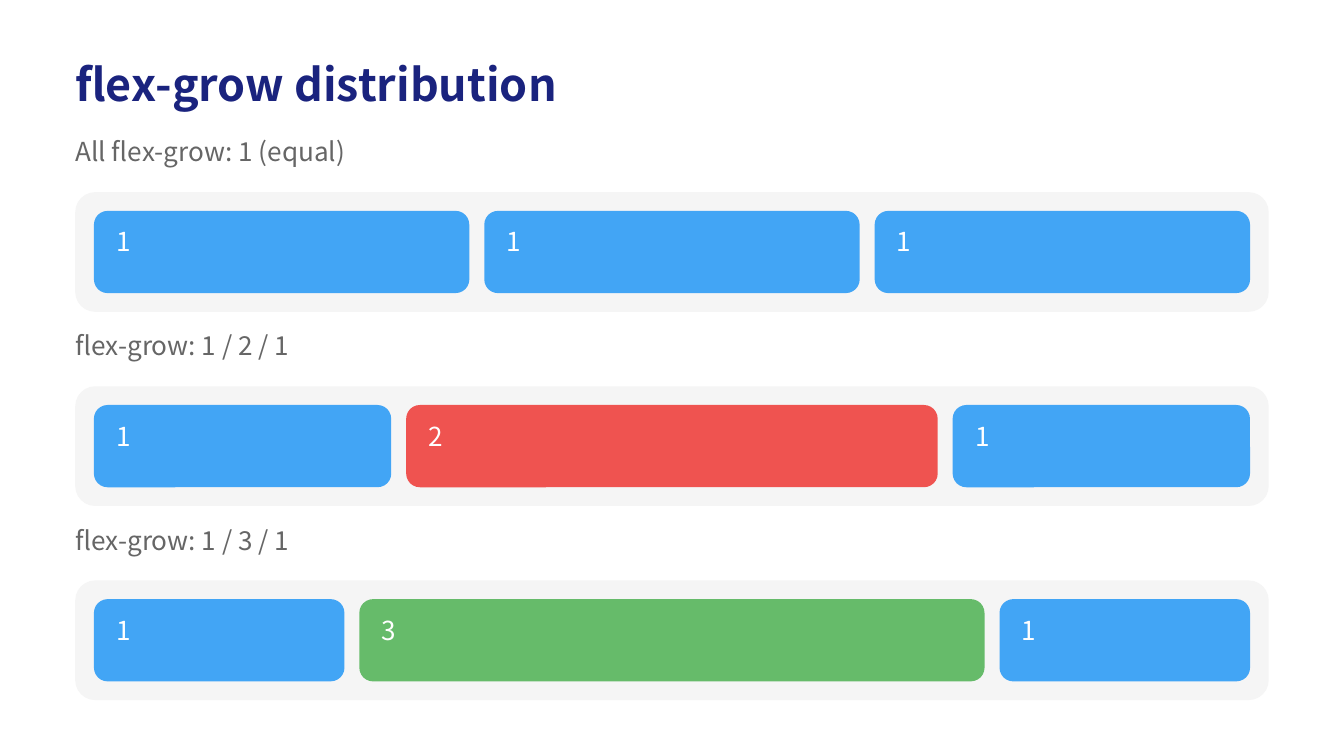
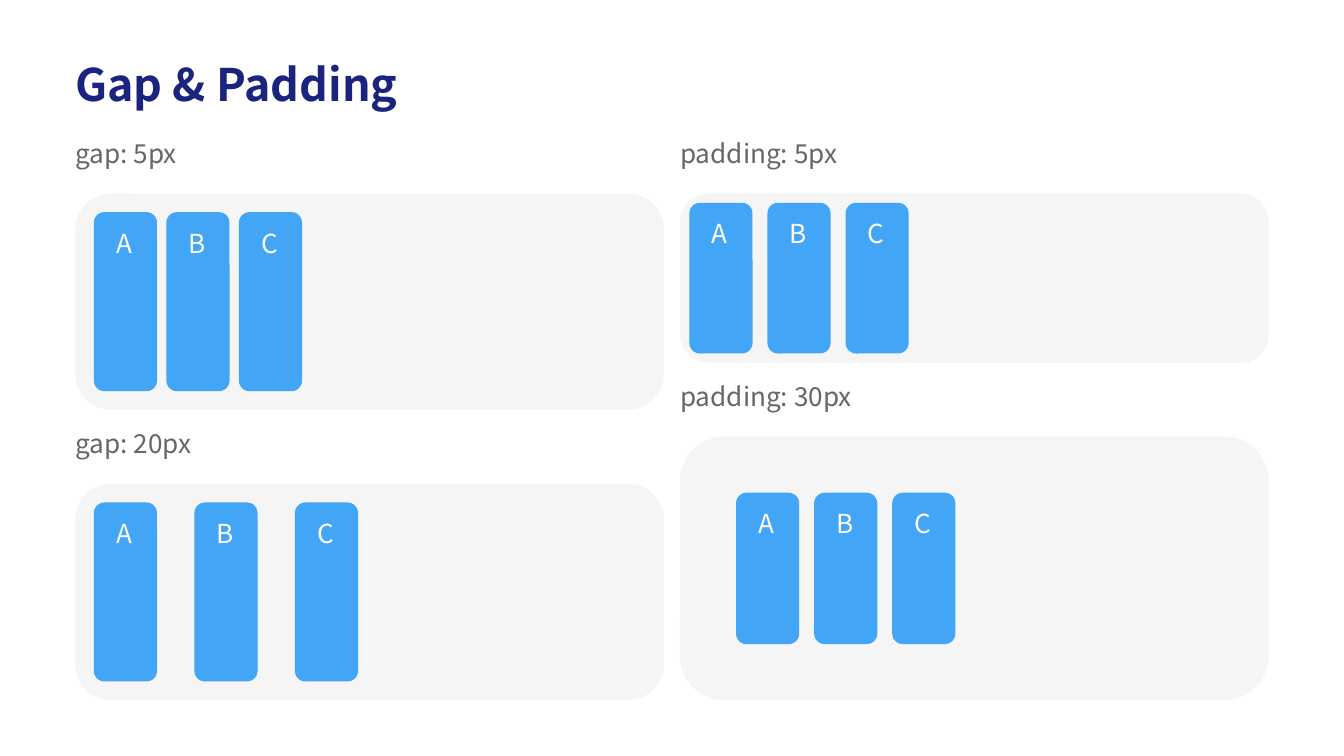
from dataclasses import dataclass

from pptx import Presentation
from pptx.dml.color import RGBColor
from pptx.enum.shapes import MSO_SHAPE
from pptx.util import Inches, Pt

ROUNDED = MSO_SHAPE.ROUNDED_RECTANGLE

# Layout, in inches
PX = 1 / 72                 # one CSS pixel
PAGE_WIDTH = 10
MARGIN = 0.56
CONTENT_WIDTH = PAGE_WIDTH - 2 * MARGIN
LABEL_RISE = 0.42           # label top above its tray
LABEL_HEIGHT = 0.28
TILE_WIDTH = 0.47           # a tile that does not grow
TILE_INSET_X, TILE_INSET_Y = 12 * PX, 8 * PX


@dataclass(frozen=True)
class Theme:
    font: str = "Noto Sans CJK SC"
    title_size: int = 24
    body_size: int = 14
    background: str = "FFFFFF"
    title: str = "1A237E"
    label: str = "666666"
    tray: str = "F5F5F5"
    blue: str = "42A5F5"
    red: str = "EF5350"
    green: str = "66BB6A"
    tile_text: str = "FFFFFF"


class FlexDeck:
    """Holds the style and the current slide."""

    def __init__(self, theme):
        self.theme = theme
        self.deck = Presentation()
        self.deck.slide_width = Inches(PAGE_WIDTH)
        self.deck.slide_height = Inches(PAGE_WIDTH * 9 / 16)
        self.page = None

    def start_page(self, title):
        theme = self.theme
        self.page = self.deck.slides.add_slide(self.deck.slide_layouts[6])
        fill = self.page.background.fill
        fill.solid()
        fill.fore_color.rgb = RGBColor.from_string(theme.background)
        self.text(self.page.shapes, title, MARGIN, 0.42, CONTENT_WIDTH, 0.47,
                  theme.title, size=theme.title_size, bold=True)

    def text(self, shapes, words, left, top, width, height, color,
             size=None, bold=False):
        box = shapes.add_textbox(
            Inches(left), Inches(top), Inches(width), Inches(height))
        frame = box.text_frame
        frame_format = {"margin_left": 0, "margin_top": 0, "margin_right": 0,
                        "margin_bottom": 0, "word_wrap": True}
        for name, value in frame_format.items():
            setattr(frame, name, value)
        span = frame.paragraphs[0].add_run()
        span.text = words
        span_format = {"name": self.theme.font, "bold": bold,
                       "size": Pt(size or self.theme.body_size)}
        for name, value in span_format.items():
            setattr(span.font, name, value)
        span.font.color.rgb = RGBColor.from_string(color)

    def panel(self, shapes, left, top, width, height, color):
        shape = shapes.add_shape(
            ROUNDED, Inches(left), Inches(top), Inches(width), Inches(height))
        shape.shadow.inherit = False
        shape.fill.solid()
        shape.fill.fore_color.rgb = RGBColor.from_string(color)
        shape.line.fill.background()

    def flex_row(self, label, left, top, width, height, tiles,
                 gap=8, padding=10):
        """Draw a labelled tray of (text, width, color) tiles."""
        shapes = self.page.shapes
        self.text(shapes, label, left, top - LABEL_RISE, width, LABEL_HEIGHT,
                  self.theme.label)
        self.panel(shapes, left, top, width, height, self.theme.tray)

        group = shapes.add_group_shape().shapes
        pad = padding * PX
        x, y = left + pad, top + pad
        for words, tile_width, color in tiles:
            self.panel(group, x, y, tile_width, height - 2 * pad, color)
            self.text(group, words, x + TILE_INSET_X, y + TILE_INSET_Y,
                      tile_width - 2 * TILE_INSET_X, LABEL_HEIGHT,
                      self.theme.tile_text)
            x += tile_width + gap * PX


def growing_tiles(grows, colors):
    """Share the free width of a full-width tray by flex-grow."""
    inner = CONTENT_WIDTH - 2 * 10 * PX - (len(grows) - 1) * 8 * PX
    free = inner - len(grows) * TILE_WIDTH
    return [(str(grow), TILE_WIDTH + free * grow / sum(grows), colors[grow])
            for grow in grows]


def main():
    theme = Theme()
    slides = FlexDeck(theme)

    # Slide 1: growing tiles
    slides.start_page("flex-grow distribution")
    grow_colors = {1: theme.blue, 2: theme.red, 3: theme.green}
    grow_rows = [("All flex-grow: 1 (equal)", (1, 1, 1)),
                 ("flex-grow: 1 / 2 / 1", (1, 2, 1)),
                 ("flex-grow: 1 / 3 / 1", (1, 3, 1))]
    for index, (label, grows) in enumerate(grow_rows):
        slides.flex_row(label, MARGIN, 1.43 + index * 104 * PX, CONTENT_WIDTH,
                        0.89, growing_tiles(grows, grow_colors))

    # Slide 2: gaps on the left, paddings on the right
    slides.start_page("Gap & Padding")
    column_width = 4.38
    right = PAGE_WIDTH - MARGIN - column_width
    letters = [(letter, TILE_WIDTH, theme.blue) for letter in "ABC"]
    trays = [("gap: 5px", MARGIN, 1.44, 1.61, {"gap": 5}),
             ("gap: 20px", MARGIN, 3.6, 1.61, {"gap": 20}),
             ("padding: 5px", right, 1.44, 1.26, {"padding": 5}),
             ("padding: 30px", right, 3.25, 1.96, {"padding": 30})]
    for label, left, top, height, spacing in trays:
        slides.flex_row(label, left, top, column_width, height, letters,
                        **spacing)

    slides.deck.save("out.pptx")


if __name__ == "__main__":
    main()
